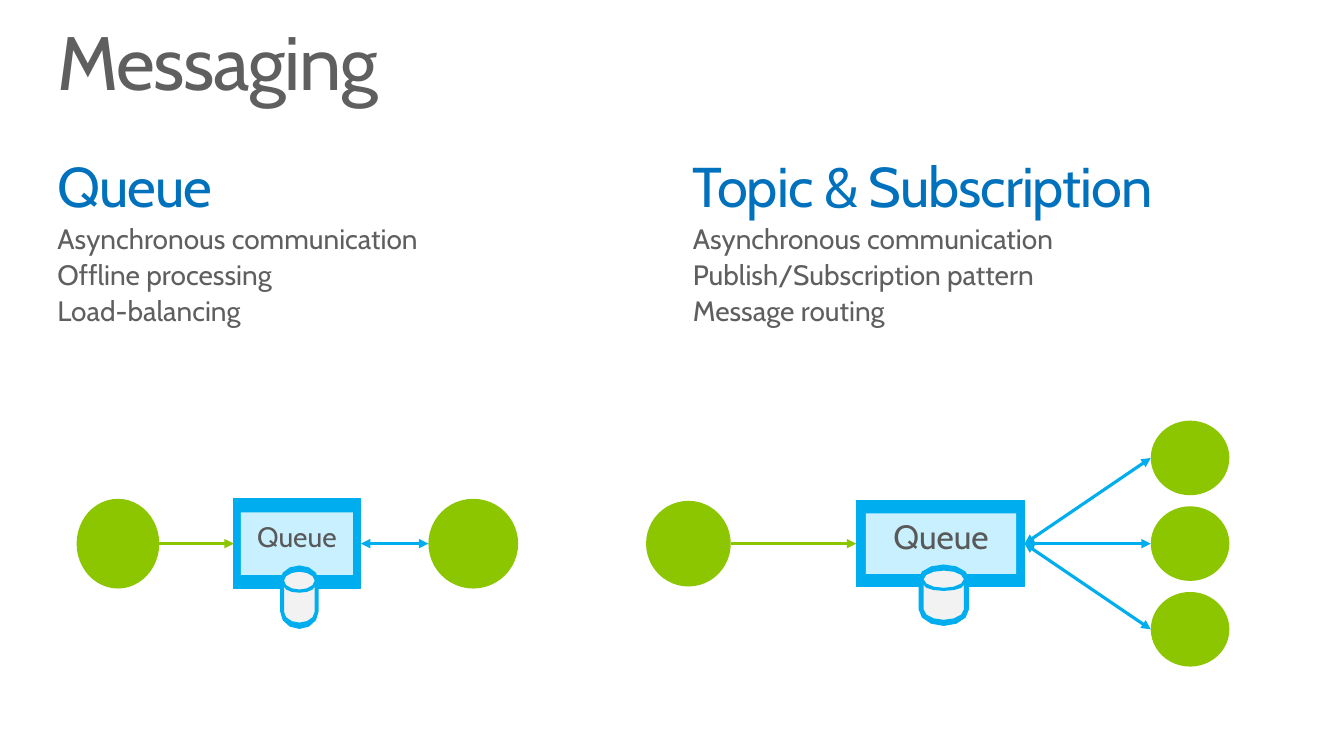
import math
from dataclasses import dataclass

from lxml import etree
from pptx import Presentation, util as u
from pptx.dml.color import RGBColor
from pptx.enum import shapes, text
from pptx.oxml import ns

# Grid of 80 columns by 45 rows, square cells
SLIDE_WIDTH, SLIDE_HEIGHT = u.Inches(13.3333), u.Inches(7.5)
COLUMN, ROW = SLIDE_WIDTH / 80, SLIDE_HEIGHT / 45
AXIS = 32.36  # row on which both message flows are centred

FONT = "Cabin"
WHITE = RGBColor(0xFF, 0xFF, 0xFF)
GREY = RGBColor(0x5F, 0x5F, 0x5F)
LABEL_GREY = RGBColor(0x59, 0x59, 0x59)
HEADING_BLUE = RGBColor(0x00, 0x71, 0xBC)
CYAN = RGBColor(0x00, 0xAE, 0xEF)
PALE_CYAN = RGBColor(0xC9, 0xF0, 0xFF)
GREEN = RGBColor(0x8C, 0xC6, 0x00)
STORE_GREY = RGBColor(0xF2, 0xF2, 0xF2)

Point = tuple[float, float]


@dataclass(frozen=True)
class Cell:
    """An area in columns and rows; without a top it is centred on the axis."""
    left: float
    width: float
    height: float
    top: float | None = None

    @property
    def y(self) -> float:
        return AXIS - self.height / 2 if self.top is None else self.top

    @property
    def right(self) -> float:
        return self.left + self.width

    def emu(self) -> tuple[int, int, int, int]:
        return (round(self.left * COLUMN), round(self.y * ROW),
                round(self.width * COLUMN), round(self.height * ROW))


@dataclass(frozen=True)
class Pattern:
    """One messaging pattern: its list and its flow."""
    heading: str
    features: tuple[str, ...]
    body: Cell
    sender: Cell
    broker: Cell
    panel: Cell
    label_size: int
    store: Cell
    receivers: tuple[Cell, ...]


PATTERNS = (
    Pattern(
        "Queue",
        ("Asynchronous communication", "Offline processing", "Load-balancing"),
        body=Cell(3.42, 35.4, 10.32, 9.48),
        sender=Cell(4.56, 4.92, 5.34),
        broker=Cell(13.92, 7.56, 5.34),
        panel=Cell(14.34, 6.66, 3.72),
        label_size=20,
        store=Cell(16.68, 2.28, 3.78, 33.66),
        receivers=(Cell(25.5, 5.34, 5.34),),
    ),
    Pattern(
        "Topic & Subscription",
        ("Asynchronous communication", "Publish/Subscription pattern", "Message routing"),
        body=Cell(41.24, 35.4, 10.32, 9.48),
        sender=Cell(38.46, 5.04, 5.1),
        broker=Cell(50.97, 10.02, 5.1),
        panel=Cell(51.54, 8.94, 3.6),
        label_size=24,
        store=Cell(54.68, 3, 3.66, 33.6),
        receivers=tuple(Cell(68.5, 4.68, 4.44, AXIS - 2.22 + 5.1 * step)
                        for step in (0, -1, 1)),
    ),
)


def add_run(paragraph, words: str, size: int, color: RGBColor, spacing: float = 0) -> None:
    run = paragraph.add_run()
    run.text = words
    run.font.name, run.font.size = FONT, u.Pt(size)
    run.font.color.rgb = color
    if spacing:
        run._r.get_or_add_rPr().set("spc", str(round(spacing * 100)))


def place(holder, cell: Cell):
    """Move a placeholder and return its bare text frame."""
    holder.left, holder.top, holder.width, holder.height = cell.emu()
    frame = holder.text_frame
    frame.margin_left = frame.margin_right = frame.margin_top = frame.margin_bottom = 0
    frame.vertical_anchor = text.MSO_ANCHOR.TOP
    frame.word_wrap = True
    frame.auto_size = text.MSO_AUTO_SIZE.SHAPE_TO_FIT_TEXT
    return frame


def format_line(paragraph, before: float, level: int = 0) -> None:
    paragraph.level = level
    paragraph.alignment = text.PP_ALIGN.LEFT
    paragraph.line_spacing = 0.9
    paragraph.space_before = u.Pt(before)
    properties = paragraph._p.get_or_add_pPr()
    properties.set("marL", "0")
    properties.set("indent", "0")
    etree.SubElement(properties, ns.qn("a:buNone"))


def write_list(holder, pattern: Pattern) -> None:
    frame = place(holder, pattern.body)
    heading = frame.paragraphs[0]
    format_line(heading, 12)
    add_run(heading, pattern.heading, 40, HEADING_BLUE, -0.7)
    for feature in pattern.features:
        line = frame.add_paragraph()
        format_line(line, 4, level=1)
        add_run(line, feature, 20, GREY)


def paint(shape, color: RGBColor) -> None:
    shape.shadow.inherit = False
    shape.fill.solid()
    shape.fill.fore_color.rgb = color
    shape.line.fill.background()


def add_solid(group, kind: shapes.MSO_SHAPE, cell: Cell, color: RGBColor):
    solid = group.shapes.add_shape(kind, *cell.emu())
    paint(solid, color)
    return solid


def add_arrow(group, start: Point, end: Point, color: RGBColor, ends: tuple[str, ...]) -> None:
    arrow = group.shapes.add_connector(
        shapes.MSO_CONNECTOR.STRAIGHT,
        round(start[0] * COLUMN), round(start[1] * ROW),
        round(end[0] * COLUMN), round(end[1] * ROW))
    arrow.line.color.rgb = color
    arrow.line.width = u.Pt(2.25)
    outline = arrow.line._get_or_add_ln()
    for end_tag in ends:
        etree.SubElement(outline, ns.qn(end_tag), type="triangle")
    etree.SubElement(arrow._element.spPr, ns.qn("a:effectLst"))


def arc(center_y: float, rx: float, ry: float, start: int, stop: int, step: int = 30) -> list[Point]:
    """Points of an elliptic arc in shares of the store; degrees run clockwise."""
    turn = step if stop > start else -step
    return [(0.5 + rx * math.cos(math.radians(a)), center_y + ry * math.sin(math.radians(a)))
            for a in range(start, stop + turn, turn)]


STORE_CORE = [arc(0.21, 0.43, 0.15, 180, 360, 60) + arc(0.79, 0.43, 0.16, 0, 180, 60)]
STORE_FRAME = [
    arc(0.23, 0.5, 0.23, 180, 360) + arc(0.73, 0.5, 0.27, 0, 180),
    arc(0.24, 0.4, 0.14, 0, 330),
    arc(0.33, 0.4, 0.1, 180, 0) + arc(0.73, 0.4, 0.17, 0, 180),
]


def add_outline(group, cell: Cell, contours: list[list[Point]], color: RGBColor) -> None:
    left, top, width, height = cell.emu()
    scaled = [[(round(left + x * width), round(top + y * height)) for x, y in contour]
              for contour in contours]
    builder = group.shapes.build_freeform(*scaled[0][0])
    for index, contour in enumerate(scaled):
        if index:
            builder.move_to(*contour[0])
        builder.add_line_segments(contour[1:], close=True)
    paint(builder.convert_to_shape(), color)


def draw_flow(slide, pattern: Pattern) -> None:
    flow = slide.shapes.add_group_shape()
    # Broker with its labelled panel
    broker = add_solid(flow, shapes.MSO_SHAPE.RECTANGLE, pattern.broker, CYAN)
    broker.line.color.rgb = CYAN
    broker.line.width = u.Pt(0.75)
    panel = add_solid(flow, shapes.MSO_SHAPE.RECTANGLE, pattern.panel, PALE_CYAN).text_frame
    panel.margin_bottom = u.Inches(0.2)
    panel.vertical_anchor = text.MSO_ANCHOR.MIDDLE
    panel.paragraphs[0].alignment = text.PP_ALIGN.CENTER
    add_run(panel.paragraphs[0], "Queue", pattern.label_size, LABEL_GREY)
    # Sender, receivers and their arrows
    for party in (pattern.sender, *pattern.receivers):
        add_solid(flow, shapes.MSO_SHAPE.OVAL, party, GREEN)
    add_arrow(flow, (pattern.sender.right, AXIS), (pattern.broker.left, AXIS),
              GREEN, ("a:tailEnd",))
    for receiver in pattern.receivers:
        add_arrow(flow, (pattern.broker.right, AXIS),
                  (receiver.left, receiver.y + receiver.height / 2),
                  CYAN, ("a:headEnd", "a:tailEnd"))
    # Message store
    add_outline(flow, pattern.store, STORE_CORE, STORE_GREY)
    add_outline(flow, pattern.store, STORE_FRAME, CYAN)


def main() -> None:
    deck = Presentation()
    deck.slide_width, deck.slide_height = SLIDE_WIDTH, SLIDE_HEIGHT
    slide = deck.slides.add_slide(deck.slide_layouts.get_by_name("Two Content"))
    slide.background.fill.solid()
    slide.background.fill.fore_color.rgb = WHITE

    title, *bodies = slide.placeholders
    heading = place(title, Cell(3.42, 73.14, 4.92, 1.5)).paragraphs[0]
    format_line(heading, 0)
    add_run(heading, "Messaging", 54, GREY, -1)
    for body, pattern in zip(bodies, PATTERNS):
        write_list(body, pattern)
        draw_flow(slide, pattern)
    deck.save("out.pptx")


if __name__ == "__main__":
    main()
